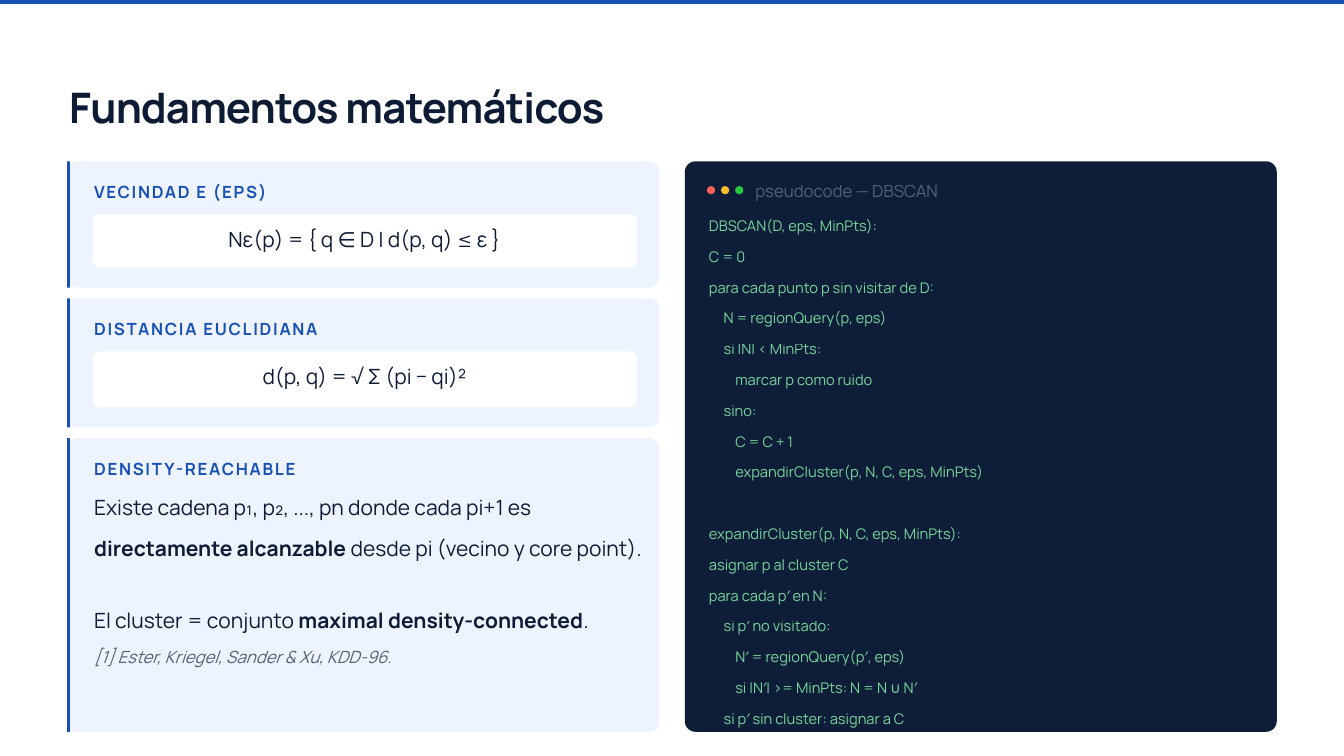
from pptx import Presentation
from pptx.dml.color import RGBColor
from pptx.enum import shapes, text
from pptx.oxml.ns import qn
from pptx.util import Inches, Pt
from lxml import etree

FONT = "Manrope"
BLUE = RGBColor(0x18, 0x51, 0xB4)
NAVY = RGBColor(0x0D, 0x1B, 0x35)
PALE = RGBColor(0xEE, 0xF4, 0xFF)
WHITE = RGBColor(0xFF, 0xFF, 0xFF)
GREY = RGBColor(0x55, 0x60, 0x70)
TERMINAL = RGBColor(0x0F, 0x1E, 0x38)
GREEN = RGBColor(0x86, 0xEF, 0xAC)
WINDOW_DOTS = [
    RGBColor(0xFF, 0x5F, 0x57),
    RGBColor(0xFF, 0xBD, 0x2E),
    RGBColor(0x28, 0xCA, 0x42),
]

CARD_LEFT, CARD_WIDTH, CARD_GAP = 1, 8.81, 0.16
TOP = 2.4
TEXT_LEFT, TEXT_WIDTH = 1.4, 8.29

FORMULA_CARDS = [
    ("VECINDAD Ε (EPS)", "Nε(p) = { q ∈ D | d(p, q) ≤ ε }", 1.88),
    ("DISTANCIA EUCLIDIANA", "d(p, q) = √ Σ (pi − qi)²", 1.92),
]

MAIN_CODE = """DBSCAN(D, eps, MinPts):
C = 0
para cada punto p sin visitar de D:
     N = regionQuery(p, eps)
     si |N| < MinPts:
         marcar p como ruido
     sino:
         C = C + 1
         expandirCluster(p, N, C, eps, MinPts)""".splitlines()

EXPAND_CODE = """expandirCluster(p, N, C, eps, MinPts):
asignar p al cluster C
para cada p′ en N:
     si p′ no visitado:
         N′ = regionQuery(p′, eps)
         si |N′| >= MinPts: N = N ∪ N′
     si p′ sin cluster: asignar a C""".splitlines()


def add_block(slide, kind, left, top, width, height, color, radius=None):
    shape = slide.shapes.add_shape(
        kind, Inches(left), Inches(top), Inches(width), Inches(height))
    shape.shadow.inherit = False
    shape.fill.solid()
    shape.fill.fore_color.rgb = color
    shape.line.fill.background()
    if radius is not None:
        shape.adjustments[0] = radius / min(width, height)
    return shape


def add_rounded(slide, left, top, width, height, color, radius):
    kind = shapes.MSO_SHAPE.ROUNDED_RECTANGLE
    return add_block(slide, kind, left, top, width, height, color, radius)


def add_bar(slide, left, top, width, height):
    kind = shapes.MSO_SHAPE.RECTANGLE
    return add_block(slide, kind, left, top, width, height, BLUE)


def add_text(slide, left, top, width, height, paragraphs, size, color,
             line_height, bold=False, italic=False, tracking=0, opacity=None,
             align=text.PP_ALIGN.LEFT):
    """Add a text box; each paragraph is a list of runs, bold flipping on odd ones."""
    box = slide.shapes.add_textbox(
        Inches(left), Inches(top), Inches(width), Inches(height))
    frame = box.text_frame
    frame.word_wrap = True
    frame.auto_size = text.MSO_AUTO_SIZE.SHAPE_TO_FIT_TEXT
    frame.margin_left = frame.margin_right = 0
    frame.margin_top = frame.margin_bottom = 0
    for number, pieces in enumerate(paragraphs):
        paragraph = frame.add_paragraph() if number else frame.paragraphs[0]
        paragraph.alignment = align
        paragraph.line_spacing = Pt(line_height)
        for index, piece in enumerate(pieces):
            run = paragraph.add_run()
            run.text = piece
            run.font.name = FONT
            run.font.size = Pt(size)
            run.font.bold = bold != (index % 2 == 1)
            run.font.italic = italic
            run.font.color.rgb = color
            if tracking:
                run.font._element.set("spc", str(round(tracking * 100)))
            if opacity is not None:
                set_opacity(run, opacity)
    return box


def set_opacity(run, percent):
    rgb = run.font._element.find(".//" + qn("a:srgbClr"))
    etree.SubElement(rgb, qn("a:alpha")).set("val", str(percent * 1000))


def add_card(slide, top, height, heading):
    add_rounded(slide, CARD_LEFT, top, CARD_WIDTH, height, PALE, 0.15)
    add_bar(slide, CARD_LEFT, top, 0.04, height)
    add_text(slide, TEXT_LEFT, top + 0.3, TEXT_WIDTH, 0.31, [[heading]],
             18, BLUE, 21.6, bold=True, tracking=1.8)


def add_formula_card(slide, top, height, heading, formula):
    add_card(slide, top, height, heading)
    add_rounded(slide, 1.38, top + 0.79, 8.1, height - 1.09, WHITE, 0.1)
    add_text(slide, 1.53, top + 0.97, 7.79, 0.41, [[formula]],
             22.5, NAVY, 27, align=text.PP_ALIGN.CENTER)


def add_reachability_card(slide, top, height):
    add_card(slide, top, height, "DENSITY-REACHABLE")
    chain = ["Existe cadena p₁, p₂, ..., pn donde cada pi+1 es ",
             "directamente alcanzable ",
             "desde pi (vecino y core point)."]
    cluster = ["El cluster = conjunto ", "maximal density-connected", "."]
    add_text(slide, TEXT_LEFT, 7.14, TEXT_WIDTH, 1.75, [chain], 22.5, NAVY, 43.2)
    add_text(slide, TEXT_LEFT, 8.81, TEXT_WIDTH, 0.57, [cluster], 22.5, NAVY, 43.2)
    add_text(slide, TEXT_LEFT, 9.62, TEXT_WIDTH, 0.31,
             [["[1] Ester, Kriegel, Sander & Xu, KDD-96."]],
             18, GREY, 21.6, italic=True)


def add_code_window(slide):
    add_rounded(slide, 10.19, TOP, CARD_WIDTH, 8.49, TERMINAL, 0.16)
    for index, color in enumerate(WINDOW_DOTS):
        add_block(slide, shapes.MSO_SHAPE.OVAL,
                  10.52 + 0.21 * index, 2.77, 0.12, 0.12, color)
    add_text(slide, 11.24, 2.69, 2.95, 0.31, [["pseudocode — DBSCAN"]],
             18, WHITE, 21.6, opacity=30)
    lines = [[line] for line in MAIN_CODE + EXPAND_CODE]
    code = add_text(slide, 10.55, 3.03, 8.4, 8.01, lines,
                    15.7, GREEN, 33, opacity=88)
    code.text_frame.paragraphs[len(MAIN_CODE)].space_before = Pt(33)


def main():
    presentation = Presentation()
    presentation.slide_width = Inches(20)
    presentation.slide_height = Inches(11.25)
    slide = presentation.slides.add_slide(presentation.slide_layouts[6])

    add_bar(slide, 0, 0, 20, 0.06)
    add_text(slide, 1.03, 1.18, 8.72, 0.82, [["Fundamentos matemáticos"]],
             45, NAVY, 56.7, bold=True, tracking=-0.9)

    top = TOP
    for heading, formula, height in FORMULA_CARDS:
        add_formula_card(slide, top, height, heading, formula)
        top += height + CARD_GAP
    add_reachability_card(slide, top, 4.37)
    add_code_window(slide)

    presentation.save("out.pptx")


if __name__ == "__main__":
    main()
